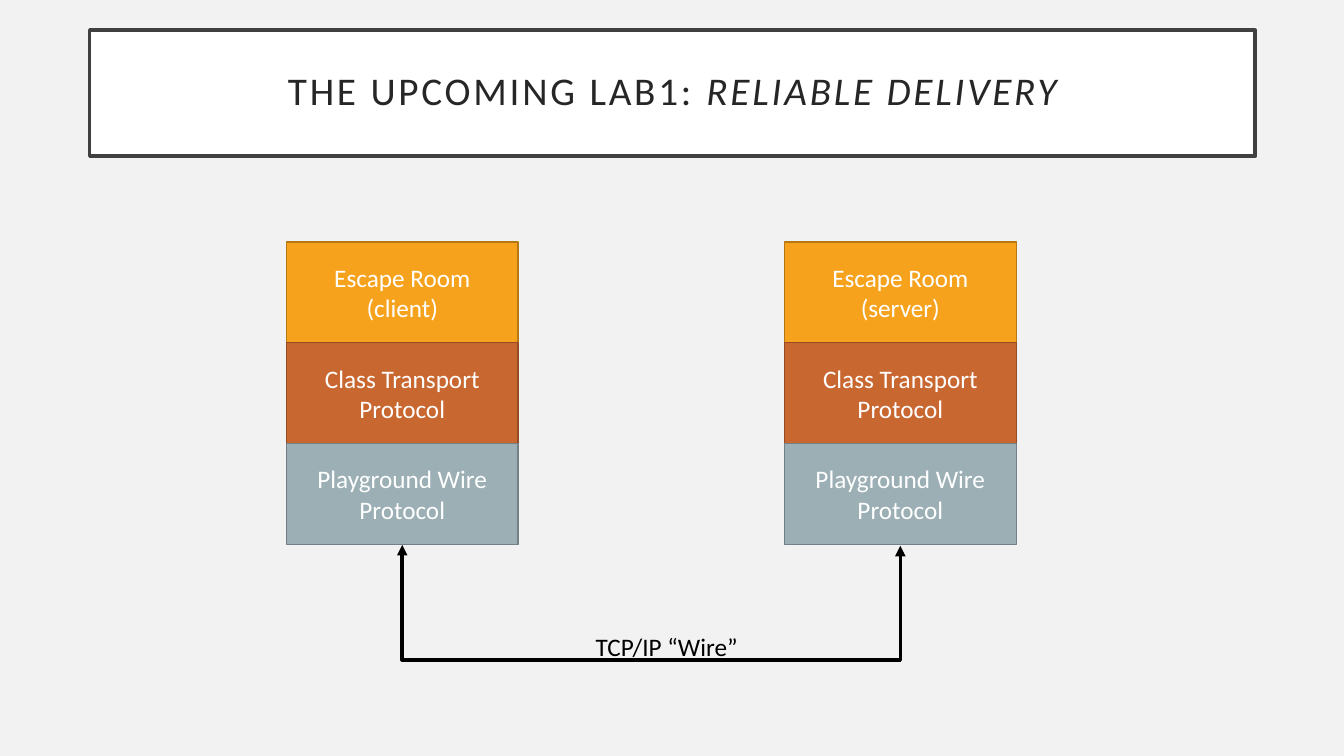
from lxml.etree import SubElement
from pptx import Presentation
from pptx.dml.color import RGBColor
from pptx.enum.shapes import MSO_CONNECTOR as LINK, MSO_SHAPE as SHAPE
from pptx.enum.text import MSO_ANCHOR as ANCHOR, MSO_AUTO_SIZE as FIT, PP_ALIGN as ALIGN
from pptx.oxml.ns import qn
from pptx.util import Inches, Pt


def color(value):
    return RGBColor.from_string(value)


def apply(target, formats):
    for name, value in formats.items():
        setattr(target, name, value)


class SlideBuilder:
    font = "Calibri"

    def __init__(self, deck, background):
        self.page = deck.slides.add_slide(deck.slide_layouts[5])
        self.fill(self.page.background, background)

    def fill(self, target, value):
        target.fill.solid()
        target.fill.fore_color.rgb = color(value)

    def outline(self, line, value, width):
        line.color.rgb = color(value)
        line.width = Pt(width)

    def add_span(self, para, text, size, value, **formats):
        span = para.add_run()
        span.text = text
        apply(span.font, {"name": self.font, "size": Pt(size), **formats})
        span.font.color.rgb = color(value)
        return span

    def title(self, parts, left, top, width, height):
        box = self.page.shapes.title
        apply(box, {"left": Inches(left), "top": Inches(top),
                    "width": Inches(width), "height": Inches(height)})
        self.fill(box, "FFFFFF")
        self.outline(box.line, "404040", 2.5)
        frame = box.text_frame
        margins = {f"margin_{side}": Inches(0.2) for side in ("left", "top", "right", "bottom")}
        apply(frame, {"auto_size": FIT.NONE, "word_wrap": True,
                      "vertical_anchor": ANCHOR.MIDDLE, **margins})
        para = frame.paragraphs[0]
        apply(para, {"alignment": ALIGN.CENTER, "line_spacing": 0.9})
        for text, italic in parts:
            span = self.add_span(para, text, 28, "262626", italic=italic)
            span.font._element.set("spc", "200")

    def block(self, text, left, top, width, height, fill, line):
        box = self.page.shapes.add_shape(
            SHAPE.RECTANGLE, Inches(left), Inches(top), Inches(width), Inches(height))
        box.shadow.inherit = False
        self.fill(box, fill)
        self.outline(box.line, line, 1)
        frame = box.text_frame
        apply(frame, {"word_wrap": True, "vertical_anchor": ANCHOR.MIDDLE})
        for index, words in enumerate(text.split("\n")):
            para = frame.add_paragraph() if index else frame.paragraphs[0]
            para.alignment = ALIGN.CENTER
            self.add_span(para, words, 18, "FFFFFF")

    def label(self, text, left, top, width, height):
        box = self.page.shapes.add_textbox(
            Inches(left), Inches(top), Inches(width), Inches(height))
        apply(box.text_frame, {"word_wrap": False, "auto_size": FIT.SHAPE_TO_FIT_TEXT})
        self.add_span(box.text_frame.paragraphs[0], text, 18, "000000")

    def wire(self, start, end, level, drop):
        # An elbow turned a quarter runs down, across and up again
        middle, half, skew = (start + end) / 2, (end - start) / 2, 0.01
        link = self.page.shapes.add_connector(
            LINK.ELBOW,
            Inches(middle + skew / 2), Inches(level - half),
            Inches(middle - skew / 2), Inches(level + half))
        link.rotation = 270
        self.outline(link.line, "000000", 2.5)
        properties = link._element.spPr
        guides = properties.find(qn("a:prstGeom")).get_or_add_avLst()
        SubElement(guides, qn("a:gd"), name="adj1", fmla=f"val {round(drop / skew * 100000)}")
        outline = properties.find(qn("a:ln"))
        for end_name in ("headEnd", "tailEnd"):
            SubElement(outline, qn(f"a:{end_name}"), type="triangle")
        SubElement(properties, qn("a:effectLst"))


def main():
    deck = Presentation()
    apply(deck, {"slide_width": Inches(13.33), "slide_height": Inches(7.5)})
    slide = SlideBuilder(deck, "F2F2F2")

    # Title
    slide.title([("THE UPCOMING LAB1: ", False), ("RELIABLE DELIVERY", True)],
                0.89, 0.3, 11.56, 1.25)

    # Protocol stacks
    stacks = {"client": 2.84, "server": 7.78}
    layers = [("Escape Room\n({role})", "F6A21D", "B67815"),
              ("Class Transport Protocol", "C96731", "954C24"),
              ("Playground Wire Protocol", "9BAFB5", "738186")]
    top, width, height = 2.4, 2.3, 1
    for role, left in stacks.items():
        for row, (text, fill, line) in enumerate(layers):
            slide.block(text.format(role=role), left, top + row * height,
                        width, height, fill, line)

    # Wire between the stacks
    start, end = (left + width / 2 for left in stacks.values())
    slide.wire(start, end, 5.41, 1.16)
    slide.label("TCP/IP “Wire”", 5.81, 6.21, 1.72, 0.4)

    deck.save("out.pptx")


if __name__ == "__main__":
    main()
